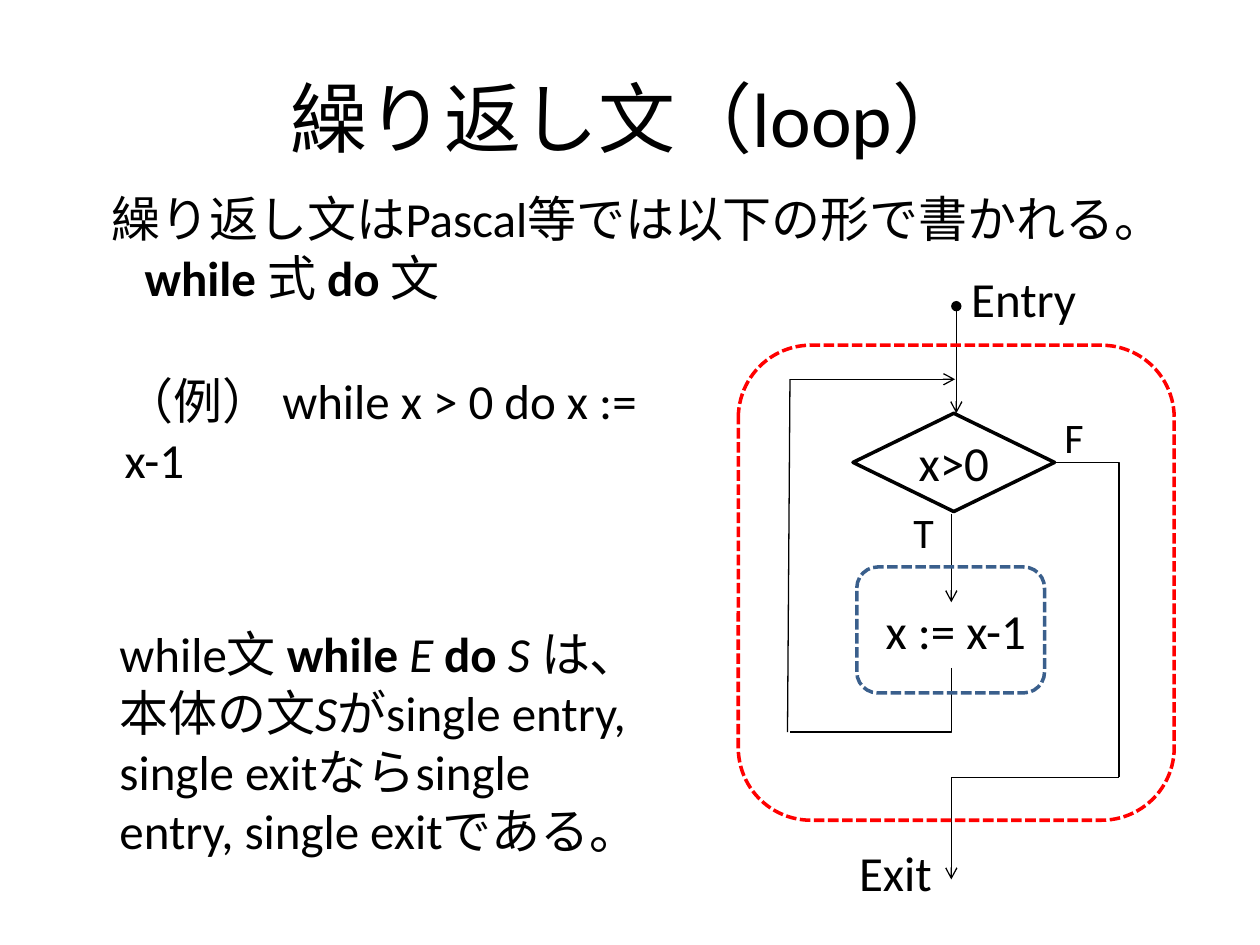
from dataclasses import dataclass

from lxml import etree
from pptx import Presentation
from pptx import util as u
from pptx.dml.color import RGBColor
from pptx.enum import dml, shapes, text
from pptx.oxml.ns import qn

COLUMNS, ROWS = 100, 75
CELL = u.Inches(0.1)


@dataclass(frozen=True)
class Theme:
    font: str = "Calibri"
    ink: str = "000000"
    loop: str = "FF0000"
    body: str = "3A5F8C"
    title: int = 44
    main: int = 28
    branch: int = 24
    thin: float = 0.75
    thick: float = 2


@dataclass(frozen=True)
class Box:
    """An area in grid columns and rows."""
    left: float
    top: float
    width: float
    height: float

    def area(self, left, top, width, height):
        return Box(self.left + left, self.top + top, width, height)

    def emu(self):
        return [cells(n) for n in (self.left, self.top, self.width, self.height)]


THEME = Theme()


def cells(count):
    return u.Emu(round(count * CELL))


def write(paragraph, runs, size=THEME.main, indent=0):
    """Fill a paragraph from (words, style) pairs; style is "", "b" or "i"."""
    if indent:
        paragraph._p.get_or_add_pPr().set("indent", str(cells(indent)))
    font = paragraph.font
    font.name, font.size = THEME.font, u.Pt(size)
    font.color.rgb = RGBColor.from_string(THEME.ink)
    for words, style in runs:
        run = paragraph.add_run()
        run.text = words
        if style:
            run.font.bold = style == "b"
            run.font.italic = style == "i"


def text_box(slide, box, paragraphs, wrap=True, size=THEME.main):
    """Place paragraphs given as (indent, runs)."""
    frame = slide.shapes.add_textbox(*box.emu()).text_frame
    frame.word_wrap = wrap
    frame.auto_size = text.MSO_AUTO_SIZE.SHAPE_TO_FIT_TEXT
    for number, (indent, runs) in enumerate(paragraphs):
        paragraph = frame.add_paragraph() if number else frame.paragraphs[0]
        write(paragraph, runs, size, indent)
    return frame


def label(slide, box, words, size=THEME.main, indent=0):
    text_box(slide, box, [(indent, [(words, "")])], wrap=False, size=size)


def outline(slide, preset, box, color, dash=None):
    shape = slide.shapes.add_shape(preset, *box.emu())
    shape.shadow.inherit = False
    shape.fill.background()
    shape.line.color.rgb = RGBColor.from_string(color)
    shape.line.width = u.Pt(THEME.thick)
    if dash:
        shape.line.dash_style = dash
    return shape


def connect(slide, kind, start, end, head=None, tail=None):
    ends = [cells(n) for n in (*start, *end)]
    link = slide.shapes.add_connector(kind, *ends)
    link.line.color.rgb = RGBColor.from_string(THEME.ink)
    link.line.width = u.Pt(THEME.thin)
    properties = link._element.spPr
    line = properties.find(qn("a:ln"))
    for tag, mark in (("a:headEnd", head), ("a:tailEnd", tail)):
        if mark:
            etree.SubElement(line, qn(tag)).set("type", mark)
    etree.SubElement(properties, qn("a:effectLst"))
    return properties


def straight(slide, start, end, head=None, tail=None):
    connect(slide, shapes.MSO_CONNECTOR.STRAIGHT, start, end, head, tail)


def corner(slide, start, end, down_first=False):
    """Join two points with one right-angled bend."""
    if down_first:
        # The one-bend preset runs right then down; a quarter turn gives down then left.
        middle = [(a + b) / 2 for a, b in zip(start, end)]
        half = (end[1] - start[1]) / 2, (start[0] - end[0]) / 2
        start = [m - h for m, h in zip(middle, half)]
        end = [m + h for m, h in zip(middle, half)]
    properties = connect(slide, shapes.MSO_CONNECTOR.ELBOW, start, end)
    properties.find(qn("a:prstGeom")).set("prst", "bentConnector2")
    if down_first:
        properties.find(qn("a:xfrm")).set("rot", str(90 * 60000))


def heading(slide, box):
    frame = text_box(slide, box, [(0, [("繰り返し文（loop）", "")])], size=THEME.title)
    frame.auto_size = text.MSO_AUTO_SIZE.NONE
    frame.vertical_anchor = text.MSO_ANCHOR.MIDDLE
    frame.paragraphs[0].alignment = text.PP_ALIGN.CENTER


def explanation(slide, box):
    text_box(slide, box.area(0, 0, box.width, 10.4), [
        (0.9, [("繰り返し文はPascal等では以下の形で書かれる。", "")]),
        (3.5, [("while ", "b"), ("式 ", ""), ("do ", "b"), ("文", "")]),
    ])
    text_box(slide, box.area(1.9, 14.4, 45.1, 5.7),
             [(0, [("（例） while x > 0 do x := x-1", "")])])
    text_box(slide, box.area(1.5, 34.5, 42.6, 19.9), [(0, [
        ("while文 ", ""), ("while ", "b"), ("E ", "i"), ("do ", "b"), ("S ", "i"),
        ("は、本体の文", ""), ("S", "i"),
        ("がsingle entry, single exitならsingle entry, single exitである。", ""),
    ])])


def flowchart(slide, box):
    def point(column, row):
        return box.left + column, box.top + row

    entry_x, spine, back, skip = 17.3, 16.9, 4.1, 30.2
    merge_row, test_row, return_row, exit_row = 9.3, 15.9, 37.3, 40.9

    straight(slide, point(entry_x, 3.5), point(entry_x, 12), "oval", "arrow")
    label(slide, box.area(17.5, 0, 10.6, 5.7), "Entry")

    test = outline(slide, shapes.MSO_SHAPE.DIAMOND, box.area(9.1, 12, 16, 7.8), THEME.ink)
    test.text_frame.word_wrap = False
    test.text_frame.vertical_anchor = text.MSO_ANCHOR.MIDDLE
    condition = test.text_frame.paragraphs[0]
    condition.alignment = text.PP_ALIGN.CENTER
    write(condition, [("x>0", "")])

    corner(slide, point(25.1, test_row), point(skip, exit_row))
    straight(slide, point(spine, 20), point(spine, 27), tail="arrow")
    label(slide, box.area(9.8, 26.4, 14.3, 5.7), "x := x-1", indent=0.9)
    corner(slide, point(spine, 32.2), point(back, return_row), down_first=True)
    straight(slide, point(back - 0.2, return_row), point(back, merge_row))
    straight(slide, point(back, merge_row), point(17.2, merge_row), tail="arrow")
    straight(slide, point(skip, exit_row), point(spine, exit_row))
    straight(slide, point(spine, exit_row), point(spine, 49), tail="arrow")

    label(slide, box.area(12.9, 18.9, 3.7, 5), "T", THEME.branch)
    label(slide, box.area(24.9, 11.4, 3.6, 5), "F", THEME.branch)
    label(slide, box.area(8.6, 45.6, 7.9, 5.7), "Exit")

    for frame, color in ((box.area(9.4, 24.2, 14.9, 10), THEME.body),
                         (box.area(0, 6.6, box.width, 37.7), THEME.loop)):
        outline(slide, shapes.MSO_SHAPE.ROUNDED_RECTANGLE, frame, color,
                dml.MSO_LINE.SQUARE_DOT)


def main():
    deck = Presentation()
    deck.slide_width, deck.slide_height = cells(COLUMNS), cells(ROWS)
    slide = deck.slides.add_slide(deck.slide_layouts[6])
    heading(slide, Box(5, 3, 90, 12.5))
    explanation(slide, Box(7, 14.5, 82.8, 54.4))
    flowchart(slide, Box(58.6, 20.8, 34.6, 51.3))
    deck.save("out.pptx")


if __name__ == "__main__":
    main()
